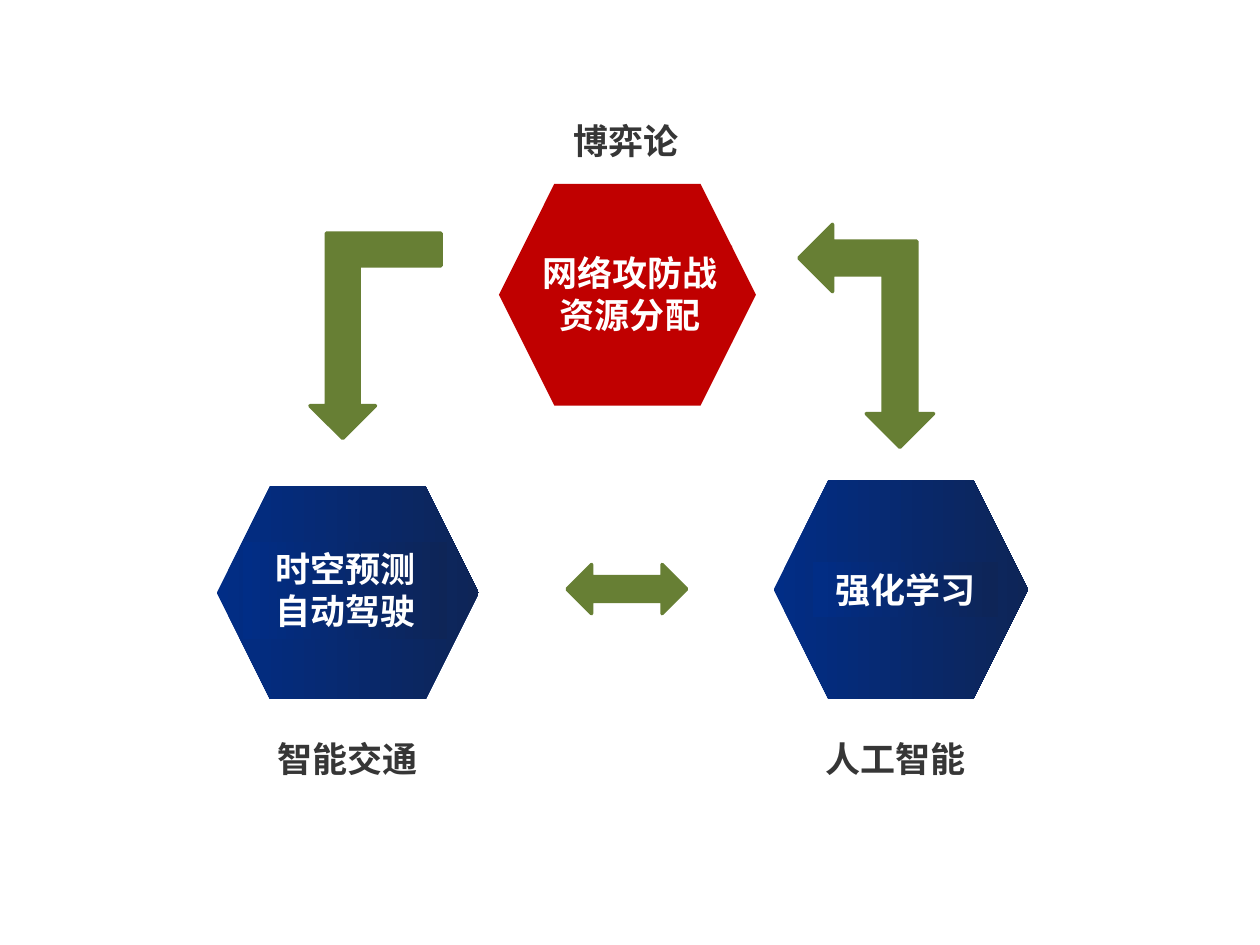
"""Build a slide of three research fields in hexagons linked by block arrows."""
from dataclasses import dataclass

from pptx import Presentation
from pptx.dml.color import RGBColor
from pptx.enum.shapes import MSO_SHAPE as Shape
from pptx.enum.text import MSO_ANCHOR as Anchor, MSO_AUTO_SIZE as AutoSize, PP_ALIGN as Align
from pptx.util import Inches, Pt


@dataclass(frozen=True)
class Theme:
    navy: tuple = ("012D86", "0E2557")
    red: tuple = ("C00000",)
    green: tuple = ("677F34",)
    white: str = "FFFFFF"
    dark: str = "363636"
    topic_font: str = "Calibri"
    field_font: str = "Noto Sans CJK SC"
    size: int = 20
    line: int = 2


theme = Theme()


def add_block(shapes, kind, place, colors):
    block = shapes.add_shape(kind, *map(Inches, place))
    block.shadow.inherit = False
    block.line.fill.background()
    if len(colors) == 1:
        block.fill.solid()
        block.fill.fore_color.rgb = RGBColor.from_string(colors[0])
    else:
        block.fill.gradient()
        block.fill.gradient_angle = 0
        for stop, color, position in zip(block.fill.gradient_stops, colors, (0, 1)):
            stop.color.rgb = RGBColor.from_string(color)
            stop.position = position
    return block


def write_lines(box, lines, font, color, margins):
    frame = box.text_frame
    frame_format = {
        "word_wrap": True, "auto_size": AutoSize.SHAPE_TO_FIT_TEXT,
        "vertical_anchor": Anchor.TOP,
        "margin_left": Inches(margins[0]), "margin_right": Inches(margins[0]),
        "margin_top": Inches(margins[1]), "margin_bottom": Inches(margins[1]),
    }
    for name, value in frame_format.items():
        setattr(frame, name, value)
    for index, line in enumerate(lines):
        para = frame.add_paragraph() if index else frame.paragraphs[0]
        para.alignment = Align.CENTER
        span = para.add_run()
        span.text = line
        for name, value in {"name": font, "size": Pt(theme.size), "bold": True}.items():
            setattr(span.font, name, value)
        span.font.color.rgb = RGBColor.from_string(color)


deck = Presentation()
deck.slide_width, deck.slide_height = Inches(10), Inches(7.5)
page = deck.slides.add_slide(deck.slide_layouts[6])

topics = [
    ((1.72, 3.86, 2.08, 1.69), (1.93, 4.3, 1.62, 0.77), theme.navy, ["时空预测", "自动驾驶"]),
    ((3.96, 1.46, 2.04, 1.76), (4.19, 1.95, 1.62, 0.77), theme.red, ["网络攻防战", "资源分配"]),
    ((6.14, 3.81, 2.02, 1.74), (6.45, 4.46, 1.47, 0.44), theme.navy, ["强化学习"]),
]
for hexagon_place, label_place, colors, lines in topics:
    group = page.shapes.add_group_shape()
    add_block(group.shapes, Shape.HEXAGON, hexagon_place, colors)
    label = add_block(group.shapes, Shape.RECTANGLE, label_place, colors)
    write_lines(label, lines, theme.topic_font, theme.white, (0.1, 0.05))

for left, top, field in [(3.93, 0.89, "博弈论"), (1.72, 5.79, "智能交通"), (6.07, 5.79, "人工智能")]:
    box = page.shapes.add_textbox(*map(Inches, (left, top, 2.08, 0.45)))
    write_lines(box, [field], theme.field_font, theme.dark, (0.11, 0.06))

arrows = [
    (Shape.BENT_UP_ARROW, (2.46, 1.85, 1.04, 1.63), 180),
    (Shape.LEFT_RIGHT_ARROW, (4.5, 4.48, 0.95, 0.39), 0),
    (Shape.LEFT_UP_ARROW, (5.99, 2.13, 1.77, 1.07), 270),
]
for kind, place, rotation in arrows:
    arrow = add_block(page.shapes, kind, place, theme.green)
    arrow.rotation = rotation
    arrow.line.color.rgb = RGBColor.from_string(theme.green[0])
    arrow.line.width = Pt(theme.line)

deck.save("out.pptx")
